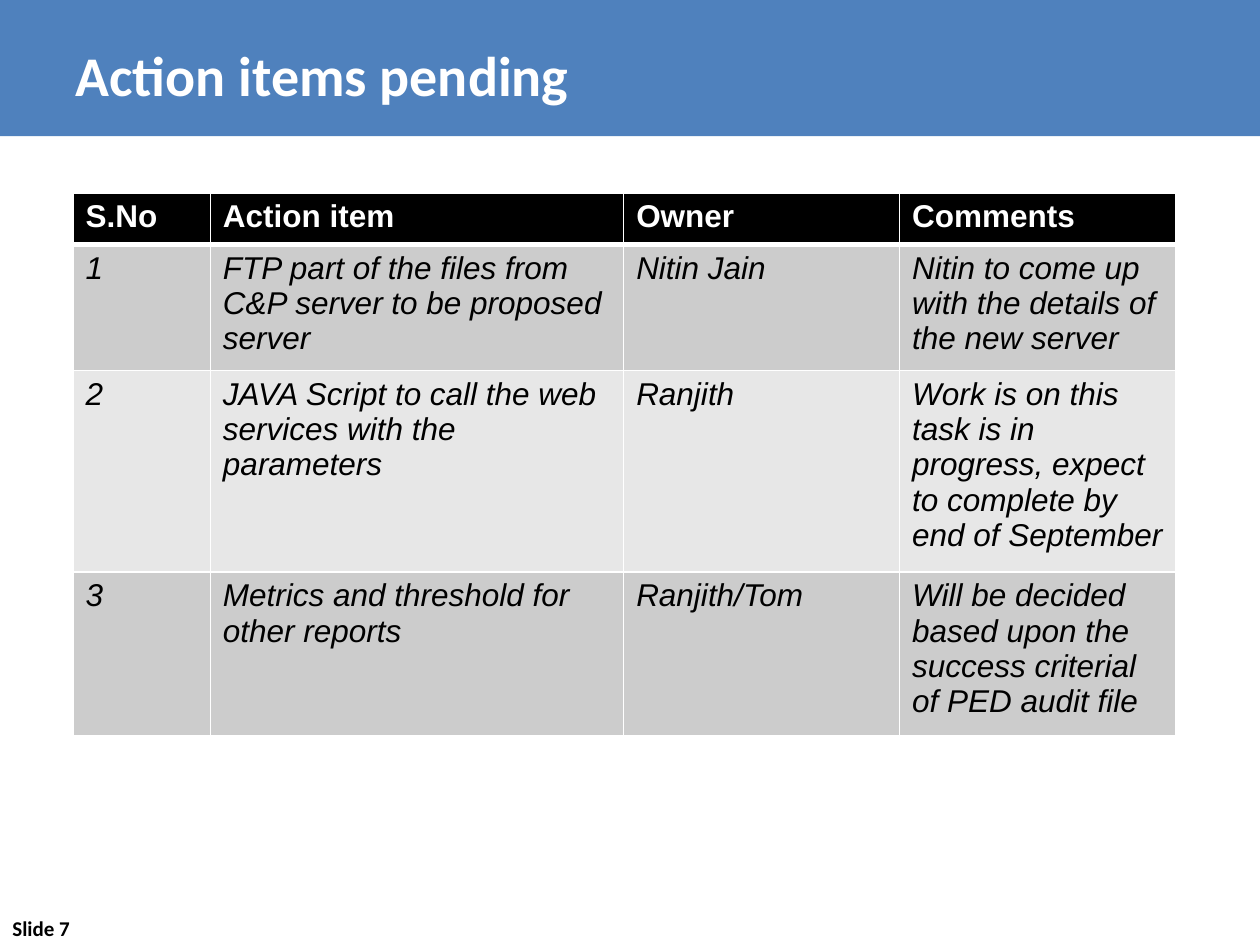
"""Build the slide of pending action items."""
from dataclasses import astuple, dataclass

from lxml import etree
from pptx import Presentation
from pptx.dml.color import RGBColor
from pptx.enum import shapes, text
from pptx.oxml import ns
from pptx.util import Inches, Pt

HUES = {"band": "4F81BD", "white": "FFFFFF", "black": "000000",
        "odd": "CCCCCC", "even": "E7E7E7"}
COLS = (1.09, 3.28, 2.19, 2.19)
ROW = 0.41


@dataclass
class Item:
    num: str
    task: str
    owner: str
    note: str


ITEMS = [
    Item("S.No", "Action item", "Owner", "Comments"),
    Item("1", "FTP part of the files from C&P server to be proposed server",
         "Nitin Jain", "Nitin to come up with the details of the new server"),
    Item("2", "JAVA Script to call the web services with the parameters",
         "Ranjith", "Work is on this task is in progress, "
         "expect to complete by end of September"),
    Item("3", "Metrics and threshold for other reports", "Ranjith/Tom",
         "Will be decided based upon the success criterial of PED audit file"),
]


def write(frame, words: str, size: float, face: str = "Arial",
          hue: str = "black", bold: bool = False, slant: bool = False) -> None:
    par = frame.paragraphs[0]
    par.alignment = text.PP_ALIGN.LEFT
    run = par.add_run()
    run.text = words
    font = run.font
    font.size, font.name = Pt(size), face
    font.bold, font.italic = bold, slant
    font.color.rgb = RGBColor.from_string(HUES[hue])


def paint(part, hue: str) -> None:
    part.fill.solid()
    part.fill.fore_color.rgb = RGBColor.from_string(HUES[hue])


def edge(cell, **widths: float) -> None:
    props = cell._tc.get_or_add_tcPr()
    for spot, (side, width) in enumerate(widths.items()):
        line = etree.Element(ns.qn(f"a:ln{side}"), w=str(Pt(width)))
        fill = etree.SubElement(line, ns.qn("a:solidFill"))
        etree.SubElement(fill, ns.qn("a:srgbClr"), val=HUES["white"])
        props.insert(spot, line)


def grid(slide, items: list[Item]) -> None:
    table = slide.shapes.add_table(
        len(items), len(COLS), Inches(0.58), Inches(1.53),
        Inches(sum(COLS)), Inches(ROW * len(items))).table
    for col, width in zip(table.columns, COLS):
        col.width = Inches(width)
    for r, item in enumerate(items):
        table.rows[r].height = Inches(ROW)
        head = r == 0
        back = "black" if head else "odd" if r % 2 else "even"
        for c, words in enumerate(astuple(item)):
            cell = table.cell(r, c)
            write(cell.text_frame, words, 18, bold=head, slant=not head,
                  hue="white" if head else "black")
            paint(cell, back)
            edge(cell, L=1, R=1, T=3 if r == 1 else 1, B=3 if head else 1)


def main() -> None:
    deck = Presentation()
    deck.slide_width, deck.slide_height = Inches(10), Inches(7.5)
    slide = deck.slides.add_slide(deck.slide_layouts[5])

    band = slide.shapes.add_shape(
        shapes.MSO_SHAPE.RECTANGLE, 0, 0, deck.slide_width, Inches(1.08))
    band.shadow.inherit = False
    paint(band, "band")
    band.line.fill.background()
    slide.shapes.element.insert(2, band.element)

    title = slide.shapes.title
    title.left, title.top = Inches(0.5), Inches(0.17)
    title.width, title.height = Inches(9), Inches(0.83)
    title.text_frame.vertical_anchor = text.MSO_ANCHOR.MIDDLE
    write(title.text_frame, "Action items pending", 32, face="Calibri",
          hue="white", bold=True)

    foot = slide.shapes.add_textbox(
        0, Inches(7.22), Inches(0.83), Inches(0.28)).text_frame
    foot.word_wrap = True
    write(foot, "Slide 7", 12, face="Calibri", bold=True)

    grid(slide, ITEMS)
    deck.save("out.pptx")


main()
